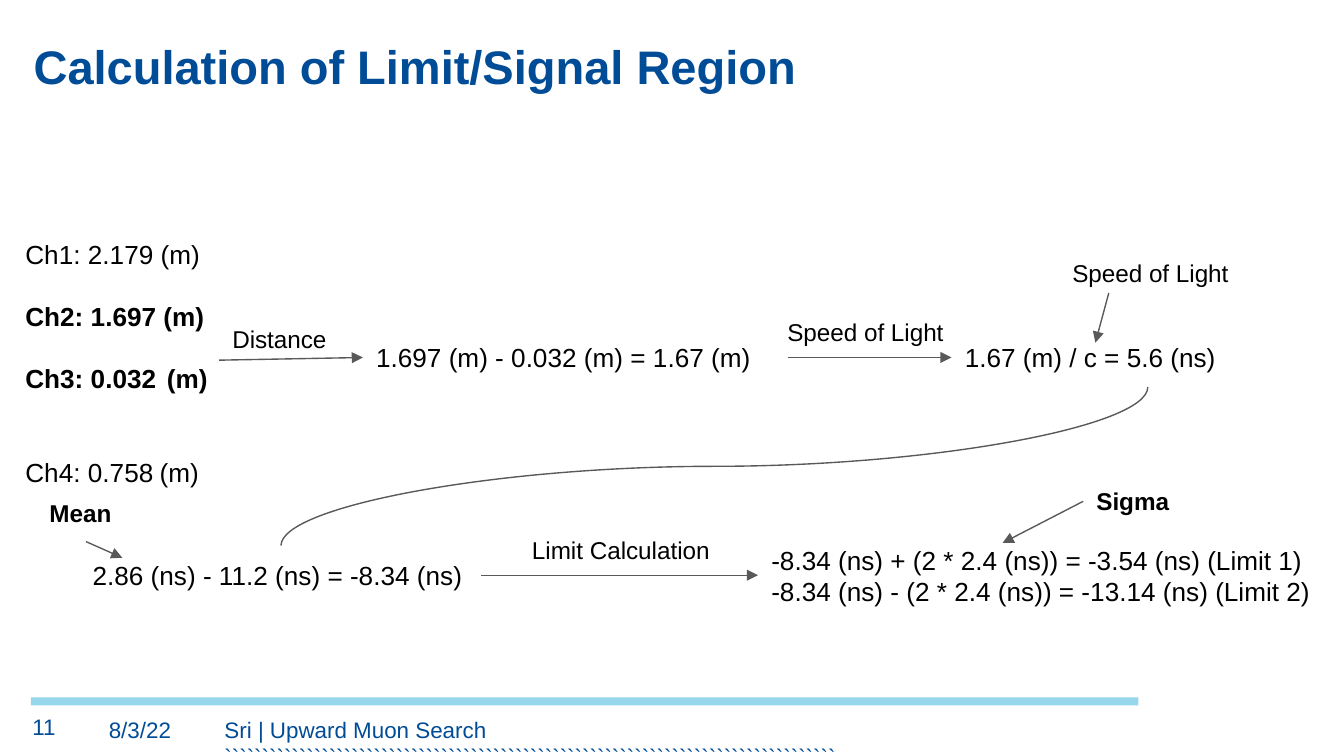
"""Build the slide that derives the limit and signal region from channel distances."""
from lxml.etree import SubElement
from pptx import Presentation
from pptx.dml.color import RGBColor
from pptx.enum.shapes import MSO_CONNECTOR, MSO_SHAPE
from pptx.enum.text import MSO_ANCHOR
from pptx.oxml.ns import qn
from pptx.util import Inches, Pt

COLORS = {"brand": "004C97", "bar": "97D7EB", "text": "000000", "line": "595959"}
FONT = "Arial"
WIDTH = 10
HEIGHT = WIDTH * 9 / 16
PADDING = 0.1
FLOW_ROW, LIMIT_ROW, FOOTER_ROW = 2.44, 4.06, 5.33
LABEL_HEIGHT, STEP_HEIGHT = 0.42, 0.44

TITLE = "Calculation of Limit/Signal Region"
CHANNELS = [
    ("Ch1: 2.179 (m)", False, 0),
    ("Ch2: 1.697 (m)", True, 16.6),
    ("Ch3: 0.032\t (m)", True, 16.6),
    ("Ch4: 0.758\t(m)", False, 33.6),
]
STEPS = [
    (2.7, FLOW_ROW, 3.16, STEP_HEIGHT, ["1.697 (m) - 0.032 (m) = 1.67 (m)"]),
    (7.08, FLOW_ROW, 2.92, STEP_HEIGHT, ["1.67 (m) / c = 5.6 (ns)"]),
    (0.59, LIMIT_ROW, 2.99, STEP_HEIGHT, ["2.86 (ns) - 11.2 (ns) = -8.34 (ns)"]),
    (5.64, 3.95, 4.81, 0.67, [
        "-8.34 (ns) + (2 * 2.4 (ns)) = -3.54 (ns) (Limit 1)",
        "-8.34 (ns) - (2 * 2.4 (ns)) = -13.14 (ns) (Limit 2)",
    ]),
]
LABELS = [
    (0.27, 3.61, 0.74, "Mean", True),
    (8.06, 3.52, 0.96, "Sigma", True),
    (1.63, 2.31, 1.21, "Distance", False),
    (5.76, 2.26, 2.06, "Speed of Light", False),
    (3.86, 3.88, 1.69, "Limit Calculation", False),
    (7.88, 1.82, 1.69, "Speed of Light", False),
]
ARROWS = [
    (1.63, 2.68, 2.7, 2.66),
    (5.86, 2.66, 7.08, 2.66),
    (3.58, 4.28, 5.64, 4.28),
    (0.64, 4.03, 0.91, 4.15),
    (8.06, 3.73, 7.46, 4.04),
    (8.25, 2.18, 8.15, 2.55),
]
CURVE = (8.54, 2.88, 2.09, 4.06)
FOOTER = [
    (0.81, 0.74, ["8/3/22"], None),
    (1.67, 6.85, ["Sri | Upward Muon Search", "`" * 82], None),
    (0.24, 0.45, ["11"], 0.9),
]


def add_text(slide, box, lines, size, color="text", padding=PADDING, spacing=None):
    """Add a text box whose lines are (text, bold, space before) tuples."""
    shape = slide.shapes.add_textbox(*map(Inches, box))
    frame = shape.text_frame
    frame.word_wrap = True
    frame.margin_left = frame.margin_right = Inches(padding)
    frame.margin_top = frame.margin_bottom = Inches(padding)
    for index, (text, bold, gap) in enumerate(lines):
        paragraph = frame.add_paragraph() if index else frame.paragraphs[0]
        paragraph.space_before = Pt(gap)
        if spacing:
            paragraph.line_spacing = spacing
        run = paragraph.add_run()
        run.text = text
        run.font.name, run.font.size, run.font.bold = FONT, Pt(size), bold
        run.font.color.rgb = RGBColor.from_string(COLORS[color])
    return frame


def plain(lines):
    """Give each line regular weight and no gap."""
    return [(line, False, 0) for line in lines]


def add_line(slide, ends, kind=MSO_CONNECTOR.STRAIGHT, arrow=True):
    """Add a thin connector, with an arrowhead at its end if wanted."""
    connector = slide.shapes.add_connector(kind, *map(Inches, ends))
    connector.line.width = Pt(0.75)
    connector.line.color.rgb = RGBColor.from_string(COLORS["line"])
    properties = connector._element.spPr
    if arrow:
        SubElement(properties.find(qn("a:ln")), qn("a:tailEnd"), type="triangle")
    SubElement(properties, qn("a:effectLst"))
    return connector


def add_vertical_curve(slide, ends):
    """Add a curve that leaves and arrives vertically, as a quarter-turned connector."""
    start_x, start_y, end_x, end_y = ends
    middle_x, middle_y = (start_x + end_x) / 2, (start_y + end_y) / 2
    half_width, half_height = (end_y - start_y) / 2, (start_x - end_x) / 2
    turned = (middle_x - half_width, middle_y - half_height,
              middle_x + half_width, middle_y + half_height)
    connector = add_line(slide, turned, MSO_CONNECTOR.CURVE, arrow=False)
    connector._element.spPr.find(qn("a:xfrm")).set("rot", str(90 * 60000))


def main():
    """Assemble and save the slide."""
    presentation = Presentation()
    presentation.slide_width, presentation.slide_height = Inches(WIDTH), Inches(HEIGHT)
    slide = presentation.slides.add_slide(presentation.slide_layouts[6])

    bar = slide.shapes.add_shape(MSO_SHAPE.RECTANGLE, *map(Inches, (0.23, 5.19, 8.24, 0.06)))
    bar.shadow.inherit = False
    bar.fill.solid()
    bar.fill.fore_color.rgb = RGBColor.from_string(COLORS["bar"])
    bar.line.fill.background()

    title = add_text(slide, (0.25, 0.35, 9.5, 0.35), [(TITLE, True, 0)], 25.2, "brand", 0)
    title.vertical_anchor = MSO_ANCHOR.BOTTOM
    channels = add_text(slide, (0.09, 1.43, 2.92, 2.09), CHANNELS, 14)
    channels.margin_top = Inches(0.34)

    for *box, lines in STEPS:
        add_text(slide, box, plain(lines), 14)
    for ends in ARROWS:
        add_line(slide, ends)
    add_vertical_curve(slide, CURVE)
    for left, top, width, text, bold in LABELS:
        add_text(slide, (left, top, width, LABEL_HEIGHT), [(text, bold, 0)], 13)
    for left, width, lines, spacing in FOOTER:
        add_text(slide, (left, FOOTER_ROW, width, 0.2), plain(lines), 12, "brand", 0, spacing)

    presentation.save("out.pptx")


if __name__ == "__main__":
    main()
